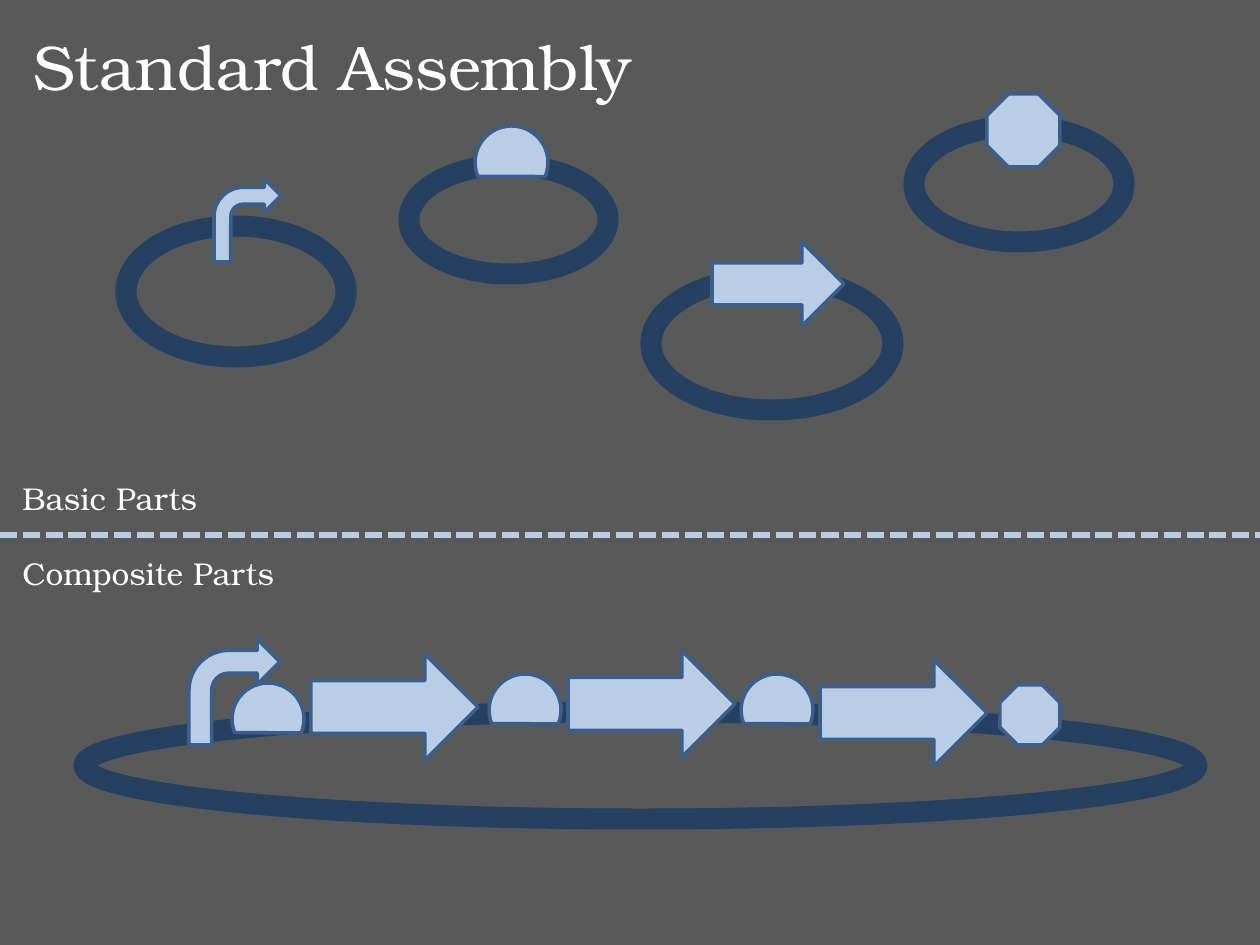
"""Build the Standard Assembly slide of basic and composite parts."""
from lxml import etree
from pptx import Presentation
from pptx.dml.color import RGBColor
from pptx.enum.dml import MSO_LINE
from pptx.enum.shapes import MSO_CONNECTOR, MSO_SHAPE
from pptx.enum.text import MSO_ANCHOR, MSO_AUTO_SIZE, PP_ALIGN
from pptx.oxml.ns import qn
from pptx.util import Emu, Pt

RING, PROMOTER, GENE = MSO_SHAPE.OVAL, MSO_SHAPE.BENT_ARROW, MSO_SHAPE.RIGHT_ARROW
TERMINATOR, DOME = MSO_SHAPE.OCTAGON, MSO_SHAPE.CHORD
STRAIGHT, DASH = MSO_CONNECTOR.STRAIGHT, MSO_LINE.SQUARE_DOT
MIDDLE, TOP, LEFT = MSO_ANCHOR.MIDDLE, MSO_ANCHOR.TOP, PP_ALIGN.LEFT
NO_FIT = MSO_AUTO_SIZE.NONE
DOME_ROTATION = 112.7
WIDTH, HEIGHT = 1260, 945

BASIC_PARTS = [
    ((126, 226, 220, 131), PROMOTER, (214, 179, 67, 83)),
    ((651, 277, 242, 133), GENE, (712, 242, 132, 84)),
    ((914, 126, 210, 116), TERMINATOR, (987, 94, 73, 73)),
    ((409, 165, 199, 109), DOME, (475, 126, 73, 73)),
]
COMPOSITE_RING = (84, 712, 1113, 107)
DOME_POSITIONS = [(232, 683), (489, 674), (741, 674)]
GENE_POSITIONS = [(311, 654), (568, 651), (820, 660)]


def px(length):
    """Turn pixels into EMU."""
    return Emu(round(length * 914400 / 126))


def color(value):
    """Turn a hex string into a colour."""
    return RGBColor.from_string(value)


def write_text(frame, text, size=18, font="TeX Gyre Bonum", hex_color="FFFFFF", anchor=TOP):
    """Write one formatted line into a text frame."""
    frame.word_wrap = True
    frame.auto_size = NO_FIT
    frame.vertical_anchor = anchor
    paragraph = frame.paragraphs[0]
    paragraph.alignment = LEFT
    run = paragraph.add_run()
    run.text = text
    run.font.size = Pt(size)
    run.font.name = font
    run.font.color.rgb = color(hex_color)


class Deck:
    """Hold the style and the current slide."""

    background, ring_line, symbol_fill, symbol_line = "595959", "254061", "B9CDE5", "3A5F8C"

    def __init__(self, presentation):
        """Add a slide with the background colour."""
        self.slide = presentation.slides.add_slide(presentation.slide_layouts[5])
        fill = self.slide.background.fill
        fill.solid()
        fill.fore_color.rgb = color(self.background)

    def title(self, text, box):
        """Place and fill the title."""
        title = self.slide.shapes.title
        title.left, title.top, title.width, title.height = map(px, box)
        write_text(title.text_frame, text, size=36, anchor=MIDDLE)

    def label(self, text, box):
        """Add a section label."""
        shape = self.slide.shapes.add_textbox(*map(px, box))
        write_text(shape.text_frame, text)

    def divider(self, top):
        """Draw a dashed line across the slide."""
        line = self.slide.shapes.add_connector(STRAIGHT, 0, px(top), px(WIDTH), px(top))
        line.line.color.rgb = color(self.symbol_fill)
        line.line.width = Pt(3.25)
        line.line.dash_style = DASH
        etree.SubElement(line._element.spPr, qn("a:effectLst"))

    def plasmid(self, box):
        """Start a group with its ring."""
        group = self.slide.shapes.add_group_shape()
        ring = group.shapes.add_shape(RING, *map(px, box))
        ring.shadow.inherit = False
        ring.fill.background()
        ring.line.color.rgb = color(self.ring_line)
        ring.line.width = Pt(12)
        return group

    def symbol(self, group, kind, box):
        """Add a part symbol to a plasmid."""
        shape = group.shapes.add_shape(kind, *map(px, box))
        shape.shadow.inherit = False
        shape.fill.solid()
        shape.fill.fore_color.rgb = color(self.symbol_fill)
        shape.line.color.rgb = color(self.symbol_line)
        shape.line.width = Pt(2)
        if kind == DOME:
            shape.rotation = DOME_ROTATION


def main():
    """Build and save the slide."""
    presentation = Presentation()
    presentation.slide_width, presentation.slide_height = px(WIDTH), px(HEIGHT)
    deck = Deck(presentation)
    deck.title("Standard Assembly", (21, 10, 1197, 111))
    deck.divider(535)
    for ring_box, kind, symbol_box in BASIC_PARTS:
        deck.symbol(deck.plasmid(ring_box), kind, symbol_box)
    deck.label("Basic Parts", (10, 473, 441, 50))
    deck.label("Composite Parts", (10, 548, 368, 50))

    composite = deck.plasmid(COMPOSITE_RING)
    deck.symbol(composite, PROMOTER, (189, 639, 91, 106))
    for dome, gene in zip(DOME_POSITIONS, GENE_POSITIONS):
        deck.symbol(composite, GENE, (*gene, 167, 106))
        deck.symbol(composite, DOME, (*dome, 72, 72))
    deck.symbol(composite, TERMINATOR, (1000, 685, 60, 60))
    presentation.save("out.pptx")


if __name__ == "__main__":
    main()
